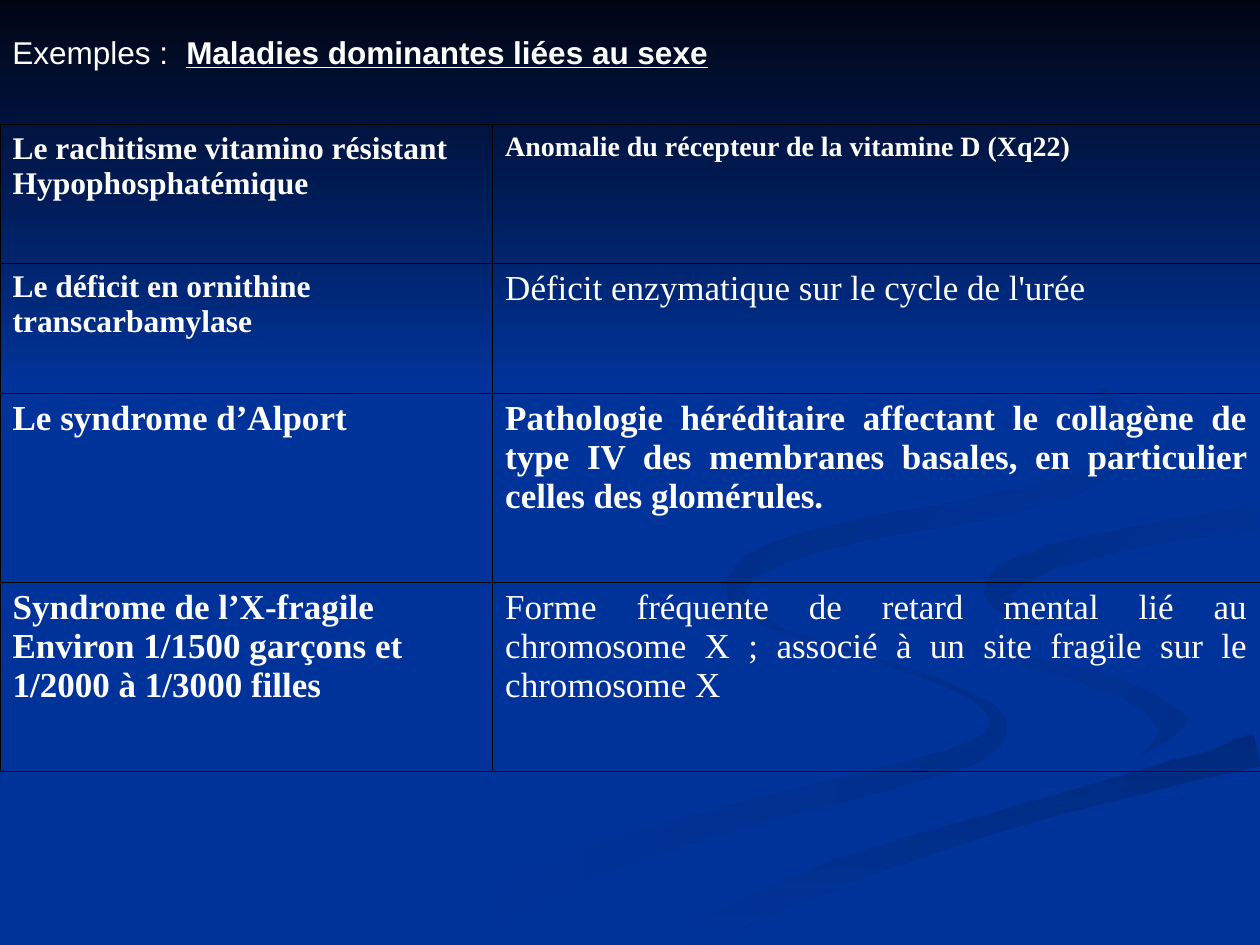
"""Build a slide on dominant sex-linked diseases: a title over a four-row table."""
from itertools import product
from math import hypot

from lxml.etree import SubElement
from pptx import Presentation
from pptx.dml.color import RGBColor
from pptx.enum.shapes import MSO_SHAPE
from pptx.enum.text import MSO_ANCHOR, PP_ALIGN
from pptx.oxml.ns import qn
from pptx.util import Pt

PX = 9144
WIDTH, HEIGHT = 1000, 750
STEPS = 6
BLUE = RGBColor(0x00, 0x33, 0x99)
NIGHT = RGBColor(0x00, 0x05, 0x14)
STREAM_SHADE = RGBColor(0x00, 0x2E, 0x8B)
LOWER_SHADE = RGBColor(0x00, 0x2A, 0x7D)
UPPER_SHADE = RGBColor(0x00, 0x2D, 0x86)
FAR_SHADE = RGBColor(0x00, 0x2B, 0x82)
WHITE = RGBColor(0xFF, 0xFF, 0xFF)
BLACK = RGBColor(0x00, 0x00, 0x00)
SANS, SERIF = "Arial", "Times New Roman"

RIBBONS = {
    "left stream": {
        "knots": [(574, 460, 1), (577, 474, 4), (611, 497, 3), (697, 524, 3), (772, 553, 5),
                  (792, 576, 14), (772, 597, 17), (699, 619, 18), (579, 650, 21),
                  (458, 688, 26), (331, 749, 30)],
        "colors": (BLUE, STREAM_SHADE), "angle": 0},
    "right eddy": {
        "knots": [(724, 464, 1), (733, 485, 4), (760, 505, 12), (830, 526, 14),
                  (900, 549, 18), (929, 571, 26), (924, 590, 16), (900, 605, 2)],
        "colors": (BLUE, STREAM_SHADE), "angle": 45},
    "lower bank": {
        "knots": [(537, 747, 28), (630, 706, 23), (764, 658, 21), (903, 620, 20),
                  (998, 595, 27)],
        "colors": (LOWER_SHADE, BLUE), "angle": 90},
    "main stream": {
        "knots": [(999, 395, 15), (851, 419, 16), (757, 455, 50), (785, 491, 40),
                  (888, 528, 20), (968, 560, 50), (907, 605, 10), (704, 662, 13),
                  (619, 692, 14), (490, 749, 24)],
        "colors": (BLUE, BLUE), "angle": 0},
    "upper bank": {
        "knots": [(998, 411, 18), (898, 427, 17), (825, 446, 20), (793, 467, 23),
                  (804, 486, 8), (826, 496, 1)],
        "colors": (UPPER_SHADE, BLUE), "angle": 45},
    "far stream": {
        "knots": [(762, 233, 1), (846, 277, 4), (890, 340, 6), (866, 378, 14),
                  (786, 402, 18), (683, 421, 17), (612, 441, 18), (585, 464, 16),
                  (595, 485, 9), (622, 500, 1)],
        "colors": (FAR_SHADE, BLUE), "angle": 45},
}
DISEASES = [
    (("Le rachitisme vitamino résistant Hypophosphatémique", 18, True),
     ("Anomalie du récepteur de la vitamine D (Xq22)", 16, True)),
    (("Le déficit en ornithine transcarbamylase", 18, True),
     ("Déficit enzymatique sur le cycle de l'urée", 20, False)),
    (("Le syndrome d’Alport", 20, True),
     ("Pathologie héréditaire affectant le collagène de type IV des membranes basales, "
      "en particulier celles des glomérules.", 20, True)),
    (("Syndrome de l’X-fragile\nEnviron 1/1500 garçons et 1/2000 à 1/3000 filles", 20, True),
     ("Forme fréquente de retard mental lié au chromosome X ; associé à un site fragile "
      "sur le chromosome X", 20, False)),
]


def spline(knots):
    """Return points on a smooth Catmull-Rom curve through the (x, y, width) knots."""
    padded = [knots[0], *knots, knots[-1]]
    curve = []
    for i, step in product(range(len(knots) - 1), range(STEPS)):
        t = step / STEPS
        curve.append(tuple(
            b + t * (c - a) / 2 + t**2 * (a - 2.5 * b + 2 * c - d / 2)
            + t**3 * (3 * (b - c) + d - a) / 2
            for a, b, c, d in zip(*padded[i:i + 4])))
    return curve + [knots[-1]]


def outline(knots):
    """Return the outline of a band around the curve, kept inside the slide."""
    curve = spline(knots)
    left, right = [], []
    for i, (x, y, width) in enumerate(curve):
        before, after = curve[max(i - 1, 0)], curve[min(i + 1, len(curve) - 1)]
        dx, dy = after[0] - before[0], after[1] - before[1]
        half = width / 2 / hypot(dx, dy)
        for edge, sign in ((left, 1), (right, -1)):
            edge.append((min(round(x - sign * half * dy), WIDTH),
                         min(round(y + sign * half * dx), HEIGHT)))
    return left + right[::-1]


class Deck:
    """Holds the text style and the current slide."""

    def __init__(self, prs):
        self.s = prs.slides.add_slide(prs.slide_layouts[6])
        self.s.background.fill.solid()
        self.s.background.fill.fore_color.rgb = BLUE

    def style(self, r, **formats):
        for name, value in formats.items():
            setattr(r.font, name, value)
        r.font.color.rgb = WHITE

    def paint(self, sp, colors, angle):
        sp.shadow.inherit = False
        sp.line.fill.background()
        if colors[0] == colors[1]:
            sp.fill.solid()
            sp.fill.fore_color.rgb = colors[0]
            return
        sp.fill.gradient()
        sp.fill.gradient_angle = (360 - angle) % 360
        for position, (stop, color) in enumerate(zip(sp.fill.gradient_stops, colors)):
            stop.color.rgb = color
            stop.position = position

    def ribbon(self, knots, colors, angle):
        start, *rest = outline(knots)
        builder = self.s.shapes.build_freeform(*start, scale=PX)
        builder.add_line_segments(rest, close=True)
        self.paint(builder.convert_to_shape(), colors, angle)

    def rectangle(self, box, colors, angle):
        sp = self.s.shapes.add_shape(MSO_SHAPE.RECTANGLE, *(v * PX for v in box))
        self.paint(sp, colors, angle)

    def title(self, box, runs, tab):
        tf = self.s.shapes.add_textbox(*(v * PX for v in box)).text_frame
        tf.word_wrap = True
        p = tf.paragraphs[0]
        tabs = SubElement(p._p.get_or_add_pPr(), qn("a:tabLst"))
        SubElement(tabs, qn("a:tab"), pos=str(tab * PX), algn="l")
        for text, formats in runs:
            r = p.add_run()
            r.text = text
            self.style(r, name=SANS, size=Pt(18), **formats)

    def borders(self, cell):
        tc_pr = cell._tc.get_or_add_tcPr()
        for side in ("lnL", "lnR", "lnT", "lnB"):
            ln = SubElement(tc_pr, qn(f"a:{side}"), w=str(Pt(0.45)))
            SubElement(SubElement(ln, qn("a:solidFill")), qn("a:srgbClr"), val=str(BLACK))

    def table(self, left, top, widths, heights, rows):
        box = (left, top, sum(widths), sum(heights))
        table = self.s.shapes.add_table(
            len(heights), len(widths), *(v * PX for v in box)).table
        table.first_row = table.horz_banding = False
        for column, width in zip(table.columns, widths):
            column.width = width * PX
        for row, height in zip(table.rows, heights):
            row.height = height * PX
        for i, j in product(range(len(heights)), range(len(widths))):
            cell = table.cell(i, j)
            text, points, bold = rows[i][j]
            self.borders(cell)
            cell.fill.background()
            cell.vertical_anchor = MSO_ANCHOR.TOP
            cell.text_frame.text = text
            for p in cell.text_frame.paragraphs:
                p.alignment = PP_ALIGN.JUSTIFY if j else PP_ALIGN.LEFT
                self.style(p.runs[0], name=SERIF, size=Pt(points), bold=bold)


def main():
    prs = Presentation()
    prs.slide_width, prs.slide_height = WIDTH * PX, HEIGHT * PX
    deck = Deck(prs)
    for ribbon in RIBBONS.values():
        deck.ribbon(**ribbon)
    deck.rectangle((0, 0, WIDTH, 308), (NIGHT, BLUE), 90)
    deck.table(0, 99, (391, 609), (110, 103, 150, 150), DISEASES)
    deck.title((0, 21, 715, 40), [
        ("Exemples :\t", {}),
        ("Maladies dominantes liées au sexe", {"bold": True, "underline": True}),
    ], tab=138)
    prs.save("out.pptx")


if __name__ == "__main__":
    main()
